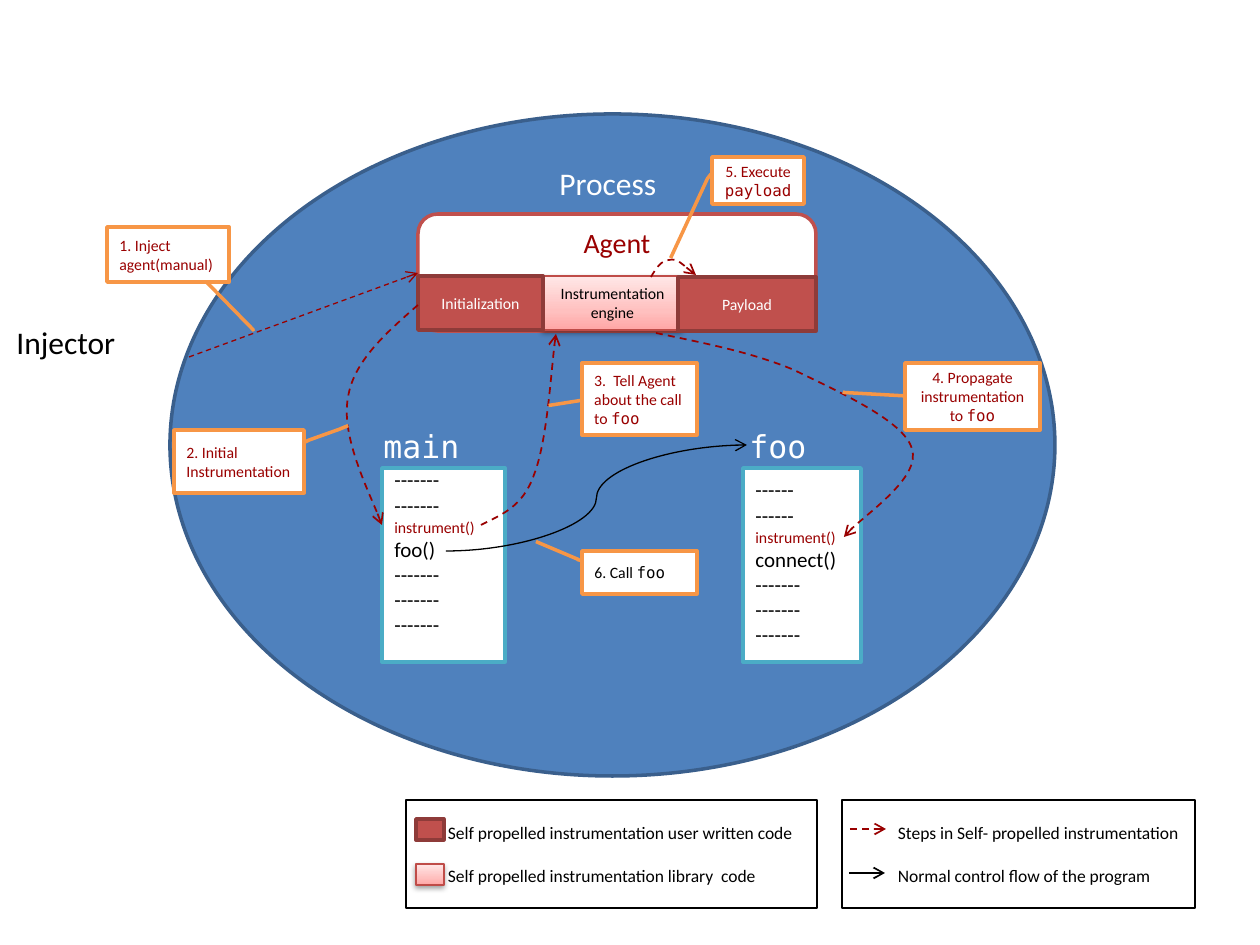
from pptx import Presentation
from pptx.dml.color import RGBColor
from pptx.enum.dml import MSO_LINE
from pptx.enum.shapes import MSO_CONNECTOR as LINK, MSO_SHAPE as SHAPE
from pptx.enum.text import MSO_ANCHOR as ANCHOR, PP_ALIGN as ALIGN
from pptx.oxml import parse_xml
from pptx.oxml.ns import nsdecls, qn
from pptx.util import Emu, Pt

SCALE = 914400 / 126
SANS, MONO = "Calibri", "DejaVu Sans Mono"
BLACK, WHITE, DARK_RED = "000000", "FFFFFF", "990000"
RED, RED_EDGE, ORANGE, TEAL = "C0504D", "8E3B39", "F79646", "4BACC6"
PINK_STOPS = [(0, "FFA6A5"), (35, "FFC0BF"), (100, "FFE7E7")]

# A paragraph is a list of (text, size, colour, font) runs.
def plain(text, size, color=BLACK, font=SANS):
    return [(text, size, color, font)]


DASHES, SHORT_DASHES = plain("-------", 12), plain("------", 12)
INSTRUMENT = plain("instrument()", 9, DARK_RED)

TITLES = [  # left, top, width, height, paragraph
    (547, 162, 124, 42, plain("Process", 18, WHITE)),
    (371, 425, 110, 42, plain("main", 18, WHITE, MONO)),
    (737, 425, 90, 42, plain("foo", 18, WHITE, MONO)),
    (4, 317, 131, 50, plain("Injector", 18)),
]
FUNCTIONS = [  # box, bottom inset, lines of code
    ((743, 468, 118, 194), 6,
     [SHORT_DASHES] * 2 + [INSTRUMENT, plain("connect()", 12)] + [DASHES] * 3),
    ((382, 468, 123, 194), 26,
     [DASHES] * 2 + [INSTRUMENT, plain("foo()", 12)] + [DASHES] * 3),
]
CALLOUTS = [  # box, mirrored, leader adjustments, alignment, paragraphs
    ((174, 430, 130, 63), True,
     (0.19, -0.01, 0.16, -0.04, -0.01, -0.27, -0.07, -0.34), ALIGN.LEFT,
     [plain("2. Initial", 9, DARK_RED), plain("Instrumentation", 9, DARK_RED)]),
    ((107, 227, 122, 55), True,
     (1.01, 0.18, 1.87, -0.2, 1.87, -0.2, 1.87, -0.19), ALIGN.LEFT,
     [plain("1. Inject agent(manual)", 9, DARK_RED)]),
    ((712, 157, 92, 47), False,
     (0.36, -0.01, 0.46, -0.05, 2.15, -0.45), ALIGN.CENTER,
     [plain("5. Execute ", 9, DARK_RED) + plain("payload", 9, DARK_RED, MONO)]),
    ((582, 363, 115, 72), True,
     (0.52, 1, 0.52, 1.01, 0.59, 1.29), ALIGN.LEFT,
     [plain("3.  Tell Agent about the call to ", 9, DARK_RED)
      + plain("foo", 9, DARK_RED, MONO)]),
    ((905, 363, 135, 67), True,
     (0.49, 1.01, 0.44, 1.45, 0.43, 1.46), ALIGN.CENTER,
     [plain("4. Propagate instrumentation to ", 9, DARK_RED)
      + plain("foo", 9, DARK_RED, MONO)]),
    ((582, 551, 115, 43), False,
     (0.22, -0.01, 0.2, -0.04, 0.2, -0.03, -0.22, -0.4), ALIGN.LEFT,
     [plain("6. Call ", 9) + plain("foo", 9, BLACK, MONO)]),
]
STEP_CURVES = [  # start point, then control, control, end of each Bezier piece
    [(418, 305), (386, 333), (353, 362), (348, 398),
     (341, 435), (375, 505), (382, 525)],
    [(481, 525), (501, 515), (523, 507), (534, 475),
     (547, 442), (552, 358), (556, 334)],
    [(651, 277), (656, 268), (662, 260), (669, 260),
     (677, 258), (689, 270), (696, 275)],
    [(656, 333), (703, 343), (751, 352), (794, 370), (837, 391), (905, 421),
     (912, 449), (921, 476), (853, 524), (844, 537)],
]
LEGENDS = [  # box, left inset, labels
    ((406, 800, 411, 108), 42, ["Self propelled instrumentation user written code",
                                "Self propelled instrumentation library  code"]),
    ((842, 800, 353, 108), 56, ["Steps in Self- propelled instrumentation",
                                "Normal control flow of the program"]),
]


def px(value):
    return Emu(round(value * SCALE))


def rgb(color):
    return RGBColor.from_string(color)


def write(shape, paragraphs, align=ALIGN.CENTER, anchor=ANCHOR.MIDDLE, gap=0):
    frame = shape.text_frame
    frame.word_wrap = True
    frame.vertical_anchor = anchor
    for index, runs in enumerate(paragraphs):
        paragraph = frame.add_paragraph() if index else frame.paragraphs[0]
        paragraph.alignment = align
        if index and gap:
            paragraph.space_before = Pt(gap)
        for text, size, color, font in runs:
            run = paragraph.add_run()
            run.text = text
            run.font.size, run.font.name = Pt(size), font
            run.font.color.rgb = rgb(color)
    return frame


def add_box(kind, box, fill, edge, width):
    shape = slide.shapes.add_shape(kind, *map(px, box))
    shape.shadow.inherit = False
    if fill:
        shape.fill.solid()
        shape.fill.fore_color.rgb = rgb(fill)
    else:
        shape.fill.background()
    shape.line.color.rgb, shape.line.width = rgb(edge), Pt(width)
    return shape


def add_library_box(box):
    """Pink gradient box with a soft shadow below it."""
    shape = add_box(SHAPE.RECTANGLE, box, WHITE, "BF4C48", 0.75)
    stops = "".join(f'<a:gs pos="{at * 1000}"><a:srgbClr val="{color}"/></a:gs>'
                    for at, color in PINK_STOPS)
    properties = shape._element.spPr
    properties.replace(properties.find(qn("a:solidFill")), parse_xml(
        f'<a:gradFill {nsdecls("a")} rotWithShape="1"><a:gsLst>{stops}</a:gsLst>'
        '<a:lin ang="16200000" scaled="0"/></a:gradFill>'))
    properties.find(qn("a:effectLst")).append(parse_xml(
        f'<a:outerShdw {nsdecls("a")} blurRad="{Pt(3.1)}" dist="{Pt(1.6)}" '
        'dir="5400000" rotWithShape="0"><a:srgbClr val="000000">'
        '<a:alpha val="38000"/></a:srgbClr></a:outerShdw>'))
    return shape


def style_arrow(line, color, width, dashed):
    line.color.rgb, line.width = rgb(color), Pt(width)
    if dashed:
        line.dash_style = MSO_LINE.DASH
    line._get_or_add_ln().append(
        parse_xml(f'<a:tailEnd {nsdecls("a")} type="arrow"/>'))


def add_arrow(start, end, color, width, dashed=False, kind=LINK.STRAIGHT):
    arrow = slide.shapes.add_connector(kind, *map(px, start + end))
    style_arrow(arrow.line, color, width, dashed)
    arrow._element.spPr.append(parse_xml(f'<a:effectLst {nsdecls("a")}/>'))


def add_step_curve(points):
    """Outline through the points, with every three segments made one Bezier."""
    builder = slide.shapes.build_freeform(*points[0], scale=SCALE)
    builder.add_line_segments(points[1:], close=False)
    curve = builder.convert_to_shape()
    curve.shadow.inherit = False
    curve.fill.background()
    style_arrow(curve.line, DARK_RED, 1, True)
    outline = next(curve._element.iter(qn("a:path")))
    segments = outline.findall(qn("a:lnTo"))
    for first in range(0, len(segments), 3):
        bezier = parse_xml(f'<a:cubicBezTo {nsdecls("a")}/>')
        for segment in segments[first:first + 3]:
            bezier.append(segment[0])
            outline.remove(segment)
        outline.append(bezier)


prs = Presentation()
prs.slide_width, prs.slide_height = px(1260), px(945)
slide = prs.slides.add_slide(prs.slide_layouts[6])

add_box(SHAPE.OVAL, (170, 114, 885, 662), "4F81BD", "3A5F8C", 2)
agent = add_box(SHAPE.ROUNDED_RECTANGLE, (418, 214, 398, 117), WHITE, RED, 2)
write(agent, [plain("Agent", 16, DARK_RED)], anchor=ANCHOR.TOP)
add_arrow((189, 357), (418, 273), DARK_RED, 0.75, dashed=True)
for *box, title in TITLES:
    write(slide.shapes.add_textbox(*map(px, box)), [title], ALIGN.LEFT)

for box, bottom, code in FUNCTIONS:
    function = add_box(SHAPE.RECTANGLE, box, WHITE, TEAL, 2)
    frame = write(function, code, ALIGN.LEFT)
    frame.margin_top, frame.margin_bottom = px(0), px(bottom)
add_arrow((446, 551), (747, 445), BLACK, 0.75, kind=LINK.CURVE)

write(add_library_box((543, 276, 139, 54)), [plain("Instrumentation engine", 9)])
for box, part in [((678, 277, 138, 54), "Payload"),
                  ((418, 276, 125, 54), "Initialization")]:
    write(add_box(SHAPE.RECTANGLE, box, RED, RED_EDGE, 2), [plain(part, 9, WHITE)])

for points in STEP_CURVES:
    add_step_curve(points)

for box, mirrored, leader, align, paragraphs in CALLOUTS:
    kind = SHAPE.LINE_CALLOUT_3 if len(leader) == 8 else SHAPE.LINE_CALLOUT_2
    callout = add_box(kind, box, WHITE, ORANGE, 2)
    for index, value in enumerate(leader):
        callout.adjustments[index] = value
    if mirrored:
        callout._element.spPr.xfrm.set("flipH", "1")
    write(callout, paragraphs, align)

for box, inset, labels in LEGENDS:
    legend = add_box(SHAPE.RECTANGLE, box, None, BLACK, 1)
    frame = write(legend, [plain(label, 10) for label in labels], ALIGN.LEFT, gap=12)
    frame.margin_left, frame.margin_right = px(inset), px(0)
add_box(SHAPE.RECTANGLE, (416, 819, 28, 21), RED, RED_EDGE, 2)
add_library_box((416, 864, 28, 21))
add_arrow((850, 829), (886, 829), DARK_RED, 1, dashed=True)
add_arrow((849, 873), (885, 873), BLACK, 1)

prs.save("out.pptx")
